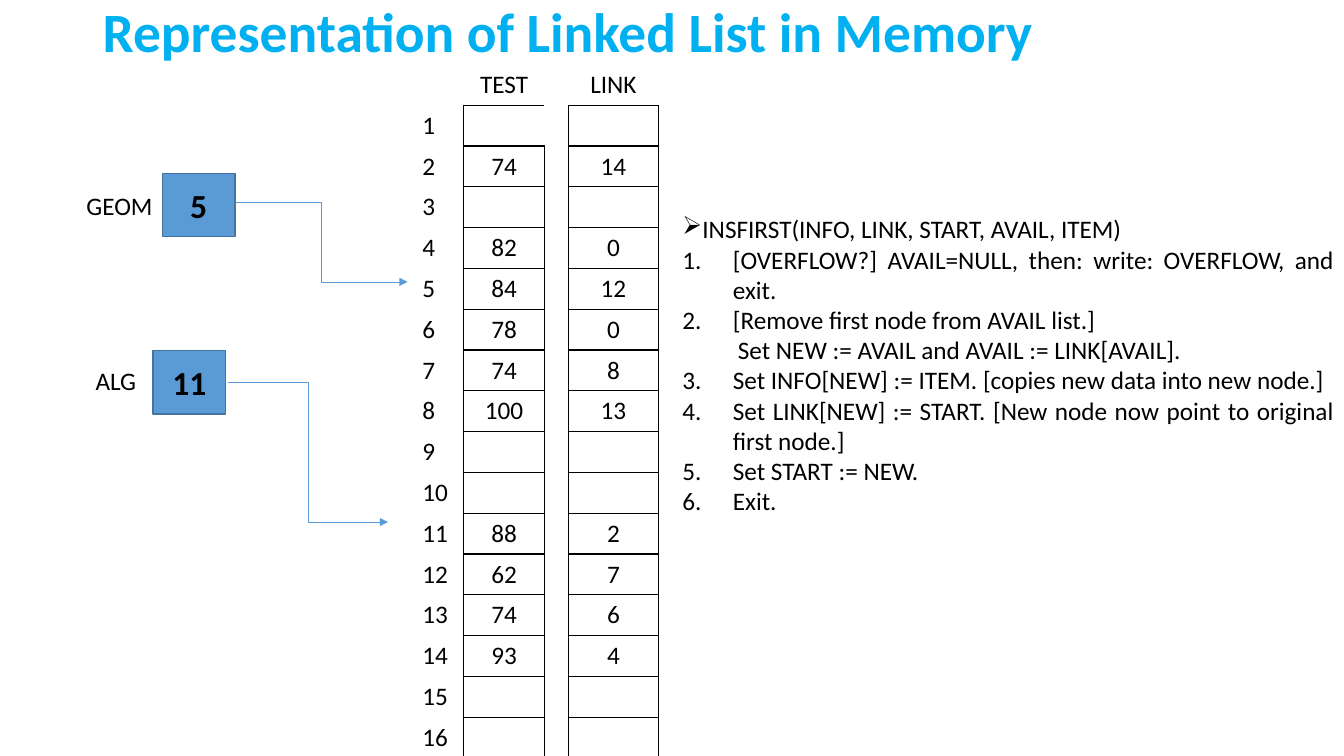
from dataclasses import dataclass

from lxml import etree
from pptx import Presentation
from pptx.dml.color import RGBColor
from pptx.enum.shapes import MSO_CONNECTOR, MSO_SHAPE
from pptx.enum.text import MSO_ANCHOR, PP_ALIGN
from pptx.oxml.ns import qn
from pptx.util import Inches, Pt

RECT, ELBOW = MSO_SHAPE.RECTANGLE, MSO_CONNECTOR.ELBOW
TOP, MID = MSO_ANCHOR.TOP, MSO_ANCHOR.MIDDLE
LEFT, CENTER, FULL = PP_ALIGN.LEFT, PP_ALIGN.CENTER, PP_ALIGN.JUSTIFY
WIDE, HIGH = Inches(13.33), Inches(7.5)
BLACK, BLUE, EDGE, SKY = "000000", "5B9BD5", "43739E", "00B0F0"
FACE = "Calibri"


@dataclass
class Area:
    """A box in percent of the slide's width and height."""
    x: float
    y: float
    w: float
    h: float

    def emu(self) -> tuple:
        return across(self.x), down(self.y), across(self.w), down(self.h)


@dataclass
class Start:
    """A list's name, its first node and the arrow to that node."""
    name: str
    node: int
    label: Area
    box: Area
    arrow: Area


@dataclass
class Step:
    text: str
    num: int = 0
    mark: str = ""
    left: float = 0
    hang: float = 0


def across(share: float) -> int:
    return round(WIDE * share / 100)


def down(share: float) -> int:
    return round(HIGH * share / 100)


def color(code: str) -> RGBColor:
    return RGBColor.from_string(code)


def style(para, size: float = 18, code: str = BLACK, bold: bool = False,
          align=LEFT) -> None:
    para.alignment = align
    font = para.font
    font.name, font.size, font.bold = FACE, Pt(size), bold
    font.color.rgb = color(code)


def add_text(area: Area, text: str = "", wrap: bool = True, anchor=TOP):
    frame = slide.shapes.add_textbox(*area.emu()).text_frame
    frame.word_wrap, frame.vertical_anchor = wrap, anchor
    frame.text = text
    return frame


def add_start(item: Start) -> None:
    style(add_text(item.label, item.name, wrap=False).paragraphs[0])

    box = slide.shapes.add_shape(RECT, *item.box.emu())
    box.shadow.inherit = False
    box.fill.solid()
    box.fill.fore_color.rgb = color(BLUE)
    box.line.color.rgb = color(EDGE)
    box.line.width = Pt(1)
    frame = box.text_frame
    frame.vertical_anchor = MID
    frame.text = str(item.node)
    style(frame.paragraphs[0], 24, bold=True, align=CENTER)

    x, y, w, h = item.arrow.emu()
    arrow = slide.shapes.add_connector(ELBOW, x, y, x + w, y + h)
    arrow.line.color.rgb = color(BLUE)
    arrow.line.width = Pt(0.5)
    props = arrow._element.spPr
    etree.SubElement(props.find(qn("a:ln")), qn("a:tailEnd"), type="triangle")
    etree.SubElement(props, qn("a:effectLst"))


def set_edges(cell, sides: str) -> None:
    props = cell._tc.get_or_add_tcPr()
    for spot, side in enumerate("LRTB"):
        line = etree.Element(qn(f"a:ln{side}"), w=str(Pt(1)))
        if side in sides:
            fill = etree.SubElement(line, qn("a:solidFill"))
            etree.SubElement(fill, qn("a:srgbClr"), val=BLACK)
        else:
            etree.SubElement(line, qn("a:noFill"))
        props.insert(spot, line)


def find_edges(row: int, col: int) -> str:
    if row == 0:
        return "B" if col in (1, 3) else ""
    if row == 1 and col in (1, 2):
        return "LTB" if col == 1 else ""
    return ("R", "LRTB", "LR", "LRTB")[col]


def add_memory(x: float, y: float) -> None:
    rows = [("", "TEST", "", "LINK")]
    for num in range(1, SLOTS + 1):
        test, link = NODES.get(num, ("", ""))
        rows.append((num, test, "", link))
    area = Area(x, y, sum(COLS), ROW * len(rows))
    table = slide.shapes.add_table(len(rows), len(COLS), *area.emu()).table
    table.first_row = table.horz_banding = False
    for col, share in enumerate(COLS):
        table.columns[col].width = across(share)
    for row, values in enumerate(rows):
        table.rows[row].height = down(ROW)
        for col, value in enumerate(values):
            cell = table.cell(row, col)
            cell.fill.background()
            cell.text = str(value)
            style(cell.text_frame.paragraphs[0], align=CENTER if col else LEFT)
            set_edges(cell, find_edges(row, col))
    table.cell(0, 2).merge(table.cell(1, 2))


def add_steps(area: Area) -> None:
    frame = add_text(area)
    for spot, step in enumerate(STEPS):
        para = frame.add_paragraph() if spot else frame.paragraphs[0]
        para.text = step.text
        style(para, align=FULL)
        props = para._p.get_or_add_pPr()
        props.set("marL", str(Inches(step.left)))
        props.set("indent", str(Inches(-step.hang)))
        if step.num:
            mark = etree.Element(qn("a:buAutoNum"), type="arabicPeriod",
                                 startAt=str(step.num))
        elif step.mark:
            mark = etree.Element(qn("a:buChar"), char=step.mark)
        else:
            mark = etree.Element(qn("a:buNone"))
        props.insert(0, mark)


# Content
SLOTS = 16
NODES = {2: (74, 14), 4: (82, 0), 5: (84, 12), 6: (78, 0), 7: (74, 8),
         8: (100, 13), 11: (88, 2), 12: (62, 7), 13: (74, 6), 14: (93, 4)}
COLS, ROW = (3.83, 6, 1.73, 6.68), 5.4
STARTS = [
    Start("ALG", 11, Area(6.38, 47.6, 4.58, 5.33),
          Area(11.4, 46.4, 5.4, 8.4), Area(16.95, 50.53, 11.93, 18.53)),
    Start("GEOM", 5, Area(5.7, 24.53, 6.45, 5.33),
          Area(12.08, 22.93, 5.4, 8.4), Area(17.48, 26.8, 12.85, 10.5)),
]
STEPS = [
    Step("INSFIRST(INFO, LINK, START, AVAIL, ITEM)", mark="➢"),
    Step("[OVERFLOW?] AVAIL=NULL, then: write: OVERFLOW, and exit.",
         1, left=0.5, hang=0.5),
    Step("[Remove first node from AVAIL list.]", 2, left=0.5, hang=0.5),
    Step("Set NEW := AVAIL and AVAIL := LINK[AVAIL].", left=0.55),
    Step("Set INFO[NEW] := ITEM. [copies new data into new node.]",
         3, left=0.5, hang=0.5),
    Step("Set LINK[NEW] := START. [New node now point to original first "
         "node.]", 4, left=0.5, hang=0.5),
    Step("Set START := NEW.", 5, left=0.5, hang=0.5),
    Step("Exit.", 6, left=0.5, hang=0.5),
]

deck = Presentation()
deck.slide_width, deck.slide_height = WIDE, HIGH
slide = deck.slides.add_slide(deck.slide_layouts[6])

# Title
title = add_text(Area(6.9, 0.53, 86.27, 8.13),
                 "Representation of Linked List in Memory", anchor=MID)
style(title.paragraphs[0], 39.6, SKY, bold=True)
title.paragraphs[0].line_spacing = 0.9

# Memory table, list starts and algorithm
add_memory(30.68, 8.53)
for item in STARTS:
    add_start(item)
add_steps(Area(50.04, 27.6, 49.96, 41.73))

deck.save("out.pptx")
